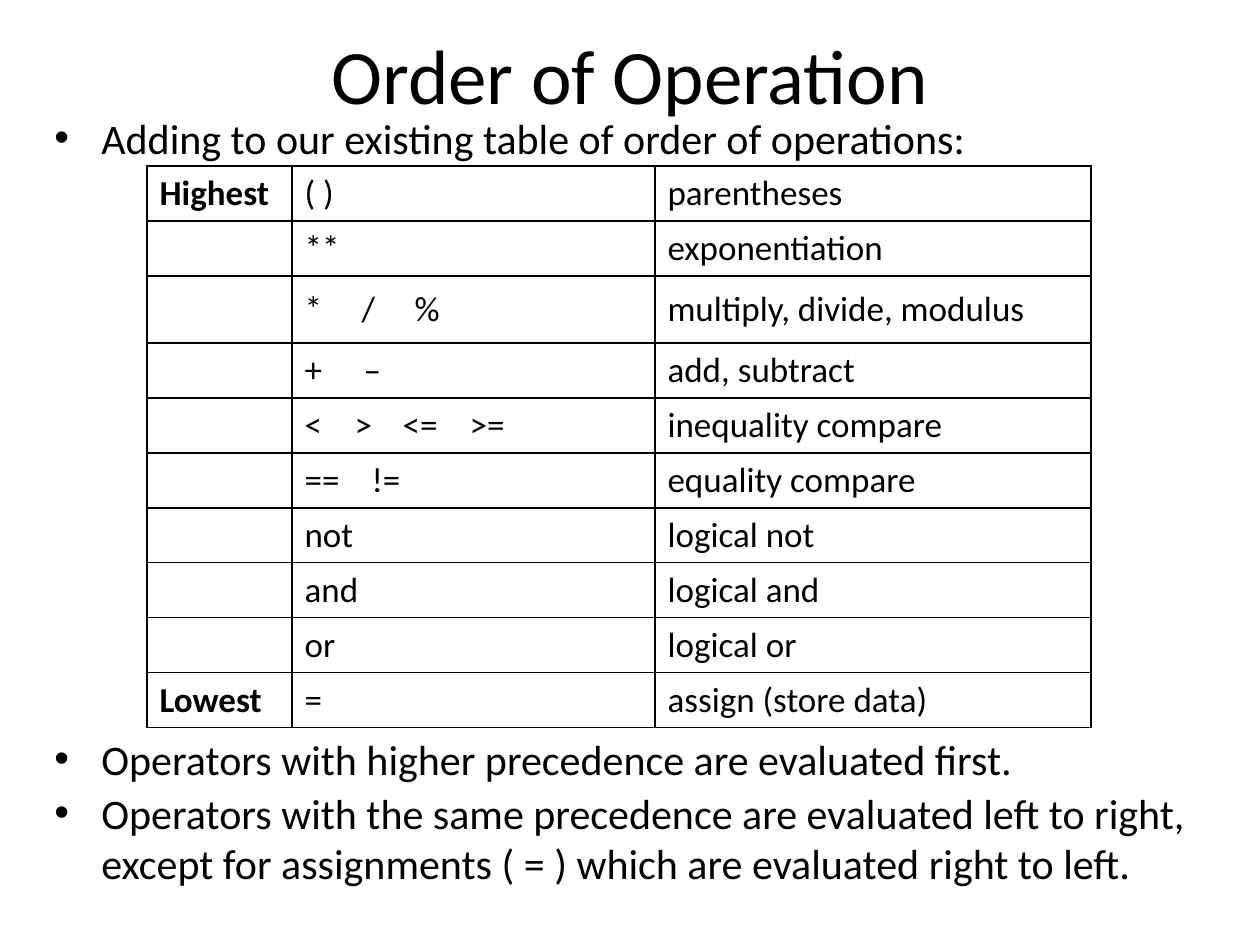
from dataclasses import dataclass

from lxml import etree
from pptx import Presentation
from pptx import util as u
from pptx.dml import color
from pptx.enum import text
from pptx.oxml import ns


@dataclass(frozen=True)
class Theme:
    font: str = "Calibri"
    ink: str = "000000"
    page: str = "FFFFFF"
    title: int = 44
    body: int = 24
    cell: int = 20
    rule: int = 1


THEME = Theme()
SCALE = 914400 / 126

POINTS = [
    ("Adding to our existing table of order of operations:", 0),
    ("Operators with higher precedence are evaluated first.", 326),
    ("Operators with the same precedence are evaluated left to right, "
     "except for assignments ( = ) which are evaluated right to left.", 2),
]
COLS = [145, 363, 436]
ROW, TALL = 55, 67
RANKS = [
    ("Highest", "( )", "parentheses", []),
    ("", "**", "exponentiation", []),
    ("", "*\t/\t%", "multiply, divide, modulus", [57, 110]),
    ("", "+\t–", "add, subtract", [59]),
    ("", "<\t>\t<=\t>=", "inequality compare", [50, 98, 165]),
    ("", "==\t!=", "equality compare", [67]),
    ("", "not", "logical not", []),
    ("", "and", "logical and", []),
    ("", "or", "logical or", []),
    ("Lowest", "=", "assign (store data)", []),
]


def px(n):
    return u.Emu(round(n * SCALE))


def rgb(code):
    return color.RGBColor.from_string(code)


def apply(item, form):
    for name, value in form.items():
        setattr(item, name, value)


def add(node, tag, **attrs):
    return etree.SubElement(node, ns.qn(tag), attrs)


def write(para, words, size, bold=False):
    run = para.add_run()
    run.text = words
    apply(run.font, {"name": THEME.font, "size": u.Pt(size), "bold": bold})
    run.font.color.rgb = rgb(THEME.ink)


def frame(slide, box, anchor):
    area = slide.shapes.add_textbox(*map(px, box)).text_frame
    apply(area, {"word_wrap": True, "vertical_anchor": anchor})
    return area


def title(slide, words, box):
    para = frame(slide, box, text.MSO_ANCHOR.MIDDLE).paragraphs[0]
    para.alignment = text.PP_ALIGN.CENTER
    write(para, words, THEME.title)


def bullets(slide, points, box):
    area = frame(slide, box, text.MSO_ANCHOR.TOP)
    for i, (words, gap) in enumerate(points):
        para = area.add_paragraph() if i else area.paragraphs[0]
        para.space_before = u.Pt(gap)
        write(para, words, THEME.body)
        props = para._p.get_or_add_pPr()
        indent = px(47)
        props.set("marL", str(indent))
        props.set("indent", str(-indent))
        add(props, "a:buFont", typeface="Arial")
        add(props, "a:buChar", char="•")


def border(cell):
    props = cell._tc.get_or_add_tcPr()
    for i, side in enumerate("LRTB"):
        line = etree.Element(ns.qn(f"a:ln{side}"), w=str(u.Pt(THEME.rule)))
        add(add(line, "a:solidFill"), "a:srgbClr", val=THEME.ink)
        props.insert(i, line)


def tabs(para, stops):
    group = add(para._p.get_or_add_pPr(), "a:tabLst")
    for stop in stops:
        add(group, "a:tab", pos=str(px(stop)), algn="l")


def fill(cell, words, bold, stops):
    cell.vertical_anchor = text.MSO_ANCHOR.MIDDLE
    cell.fill.solid()
    cell.fill.fore_color.rgb = rgb(THEME.page)
    border(cell)
    para = cell.text_frame.paragraphs[0]
    if words:
        write(para, words, THEME.cell, bold)
    if stops:
        tabs(para, stops)


def table(slide, ranks, left, top):
    rows = [TALL if rank[1].startswith("*\t") else ROW for rank in ranks]
    box = (left, top, sum(COLS), sum(rows))
    grid = slide.shapes.add_table(len(rows), len(COLS), *map(px, box)).table
    apply(grid, {"first_row": False, "horz_banding": False})
    for col, wide in zip(grid.columns, COLS):
        col.width = px(wide)
    for r, (*cells, stops) in enumerate(ranks):
        grid.rows[r].height = px(rows[r])
        for c, words in enumerate(cells):
            fill(grid.cell(r, c), words, c == 0, stops if c == 1 else [])


def main():
    deck = Presentation()
    apply(deck, {"slide_width": px(1260), "slide_height": px(945)})
    slide = deck.slides.add_slide(deck.slide_layouts[6])
    title(slide, "Order of Operation", (63, 21, 1134, 105))
    bullets(slide, POINTS, (42, 106, 1165, 787))
    table(slide, RANKS, 147, 166)
    deck.save("out.pptx")


main()
